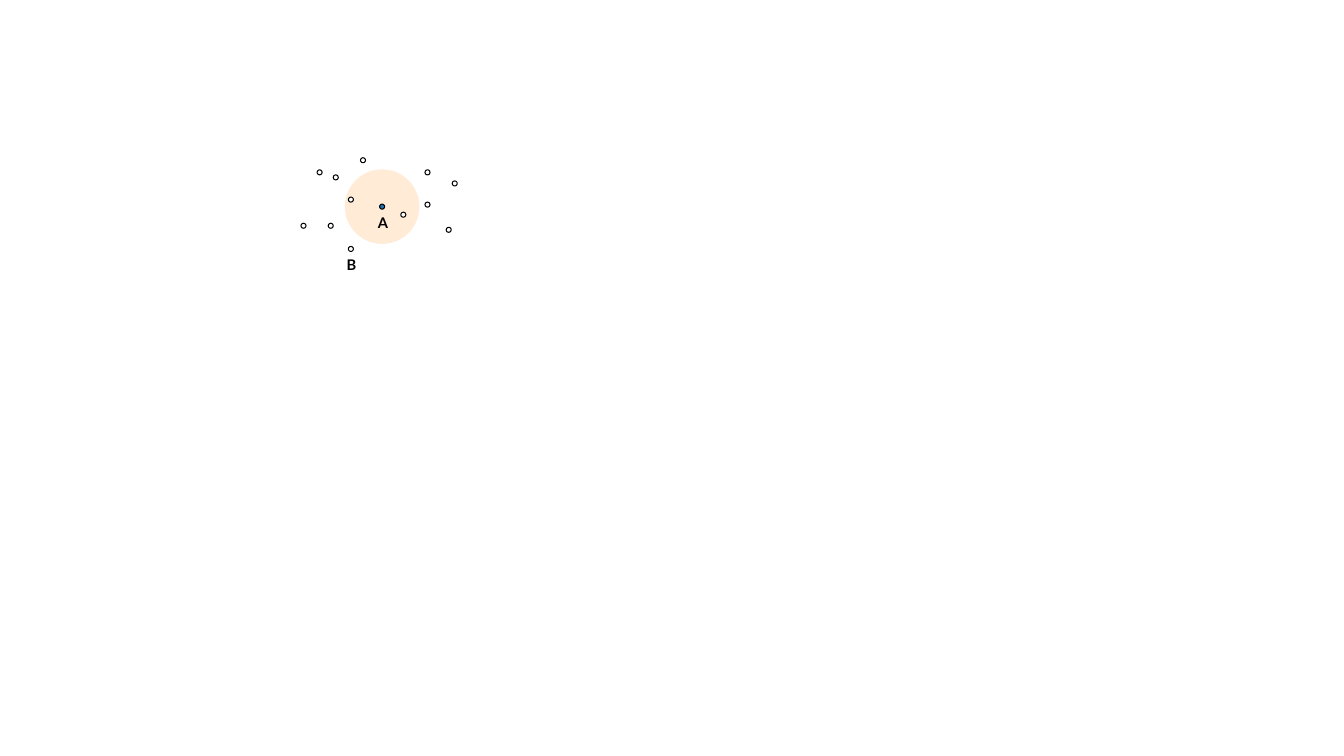
from pptx import Presentation
from pptx.dml.color import RGBColor
from pptx.enum.shapes import MSO_SHAPE
from pptx.enum.text import MSO_AUTO_SIZE, PP_ALIGN
from pptx.util import Inches, Pt

OVAL = MSO_SHAPE.OVAL
CENTER = PP_ALIGN.CENTER
FIT_SHAPE = MSO_AUTO_SIZE.SHAPE_TO_FIT_TEXT

BLACK, WHITE = "000000", "FFFFFF"
BLUE, PEACH = "1D76B3", "FFEBD6"
POINT_SIZE, REGION_SIZE, LABEL_SIZE = 0.05, 0.74, 0.28

# Centres of the points
POINT_A = (3.79, 2.05)
POINT_B = (3.48, 2.47)
FILLED_POINTS = [
    (3.48, 1.98), (4.0, 2.13), (3.33, 1.76), (3.28, 2.24),
    (4.24, 2.03), (3.01, 2.24), (3.17, 1.71), (3.6, 1.59),
]
OPEN_POINTS = [(4.45, 2.28), (4.51, 1.82), (4.24, 1.71)]


def color(hex_string):
    return RGBColor.from_string(hex_string)


def set_fill(sp, fill):
    if fill:
        sp.fill.solid()
        sp.fill.fore_color.rgb = color(fill)
    else:
        sp.fill.background()


def add_circle(slide, center, size, fill=None, line=None):
    x, y = center
    sp = slide.shapes.add_shape(OVAL, Inches(x - size / 2), Inches(y - size / 2),
                                Inches(size), Inches(size))
    sp.shadow.inherit = False
    set_fill(sp, fill)
    if line:
        sp.line.color.rgb = color(line)
        sp.line.width = Pt(0.75)
    else:
        sp.line.fill.background()


def add_label(slide, text, left, top, fill=None):
    sp = slide.shapes.add_textbox(Inches(left), Inches(top),
                                  Inches(LABEL_SIZE), Inches(LABEL_SIZE))
    set_fill(sp, fill)
    tf = sp.text_frame
    tf.word_wrap = False
    tf.auto_size = FIT_SHAPE
    p = tf.paragraphs[0]
    p.text = text
    p.alignment = CENTER
    p.font.name = "Lato"
    p.font.size = Pt(10.5)
    p.font.bold = True
    p.font.color.rgb = color(BLACK)


def main():
    prs = Presentation()
    prs.slide_width, prs.slide_height = Inches(13.33), Inches(7.5)
    slide = prs.slides.add_slide(prs.slide_layouts[6])

    # Neighbourhood of A
    add_circle(slide, POINT_A, REGION_SIZE, PEACH)
    add_circle(slide, POINT_A, POINT_SIZE, BLUE, BLACK)

    # Surrounding points
    for center in FILLED_POINTS:
        add_circle(slide, center, POINT_SIZE, WHITE, BLACK)
    for center in OPEN_POINTS:
        add_circle(slide, center, POINT_SIZE, line=BLACK)

    # Labels, with point B above its label
    add_label(slide, "A", 3.65, 2.07)
    add_label(slide, "B", 3.34, 2.49, WHITE)
    add_circle(slide, POINT_B, POINT_SIZE, WHITE, BLACK)

    prs.save("out.pptx")


if __name__ == "__main__":
    main()
